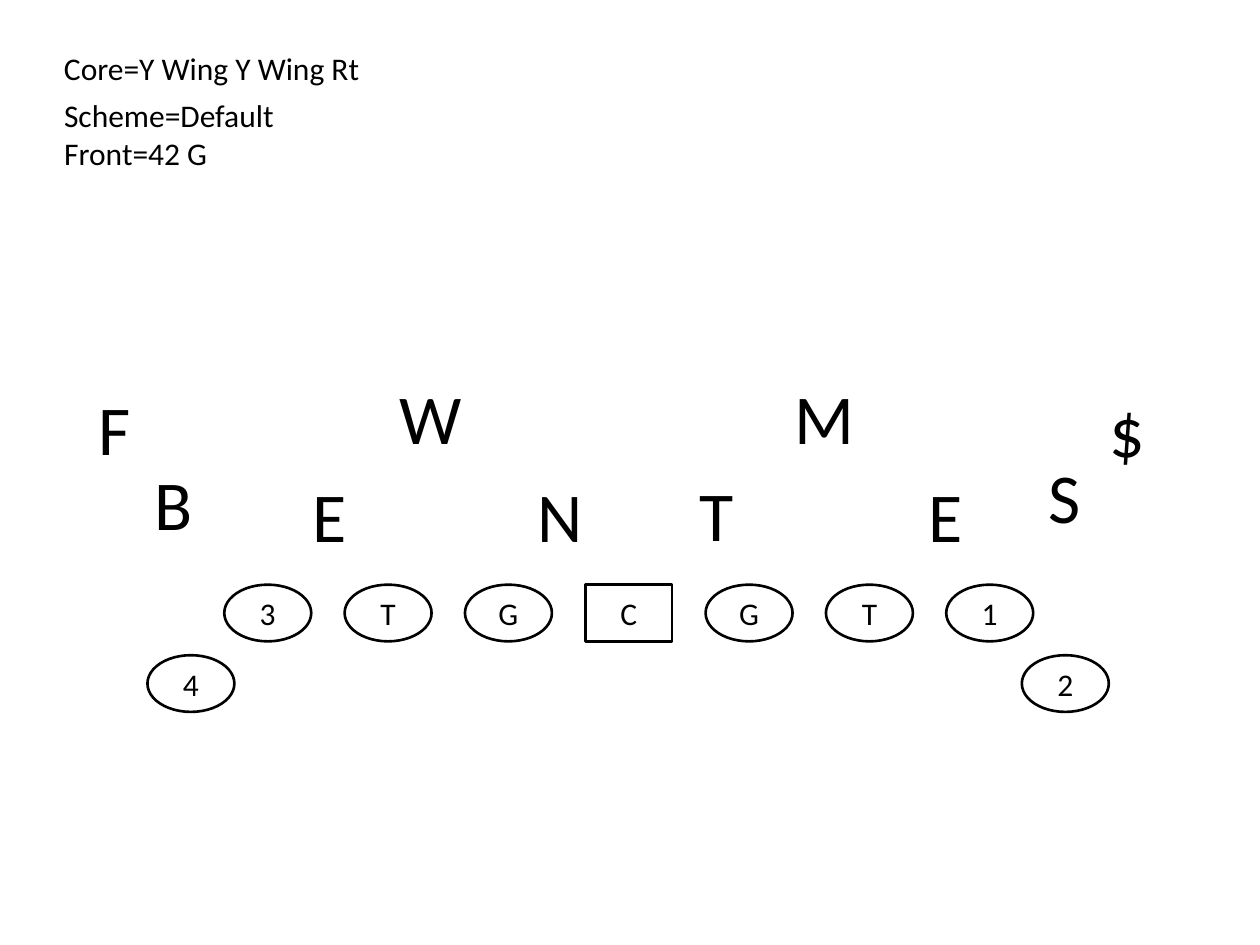
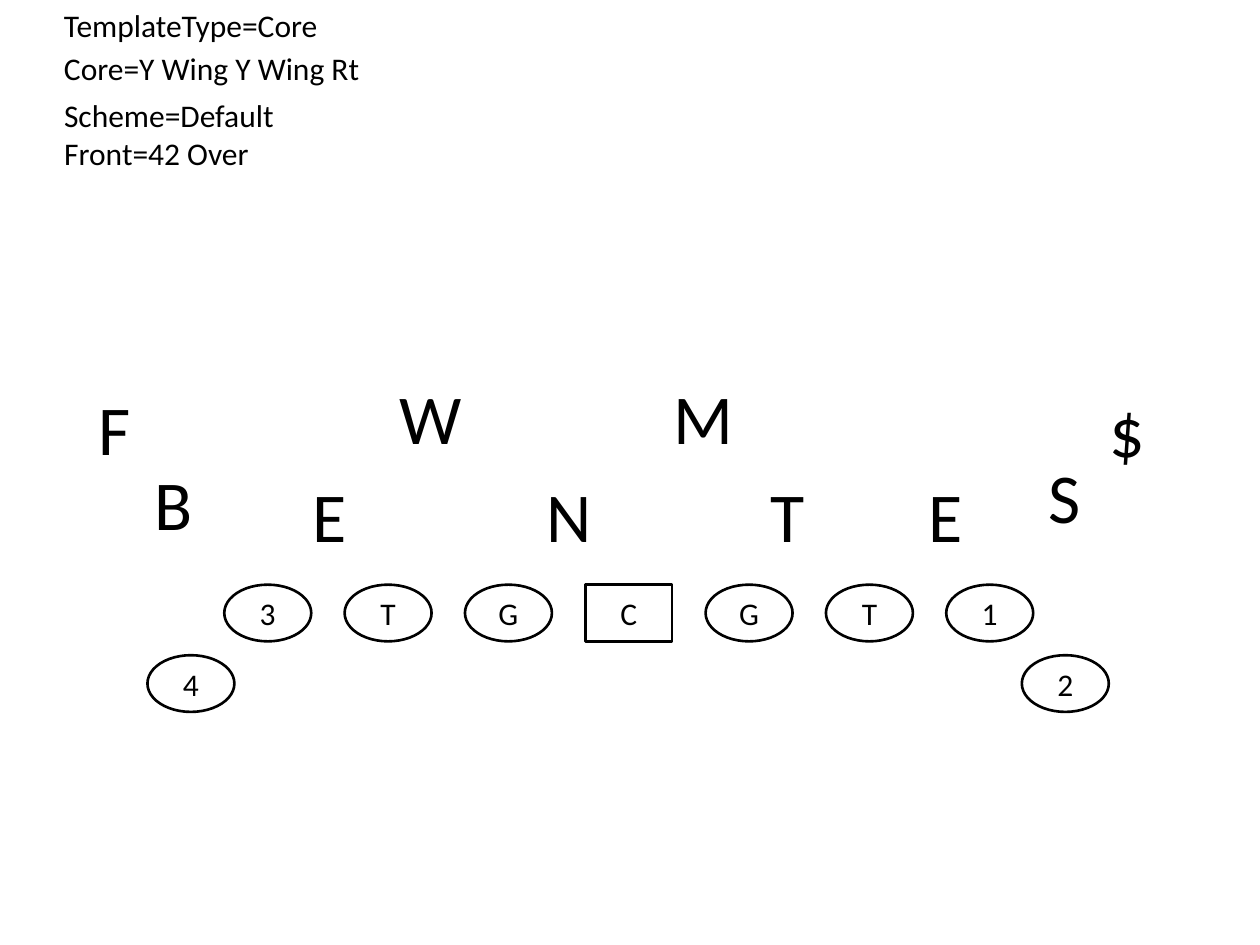
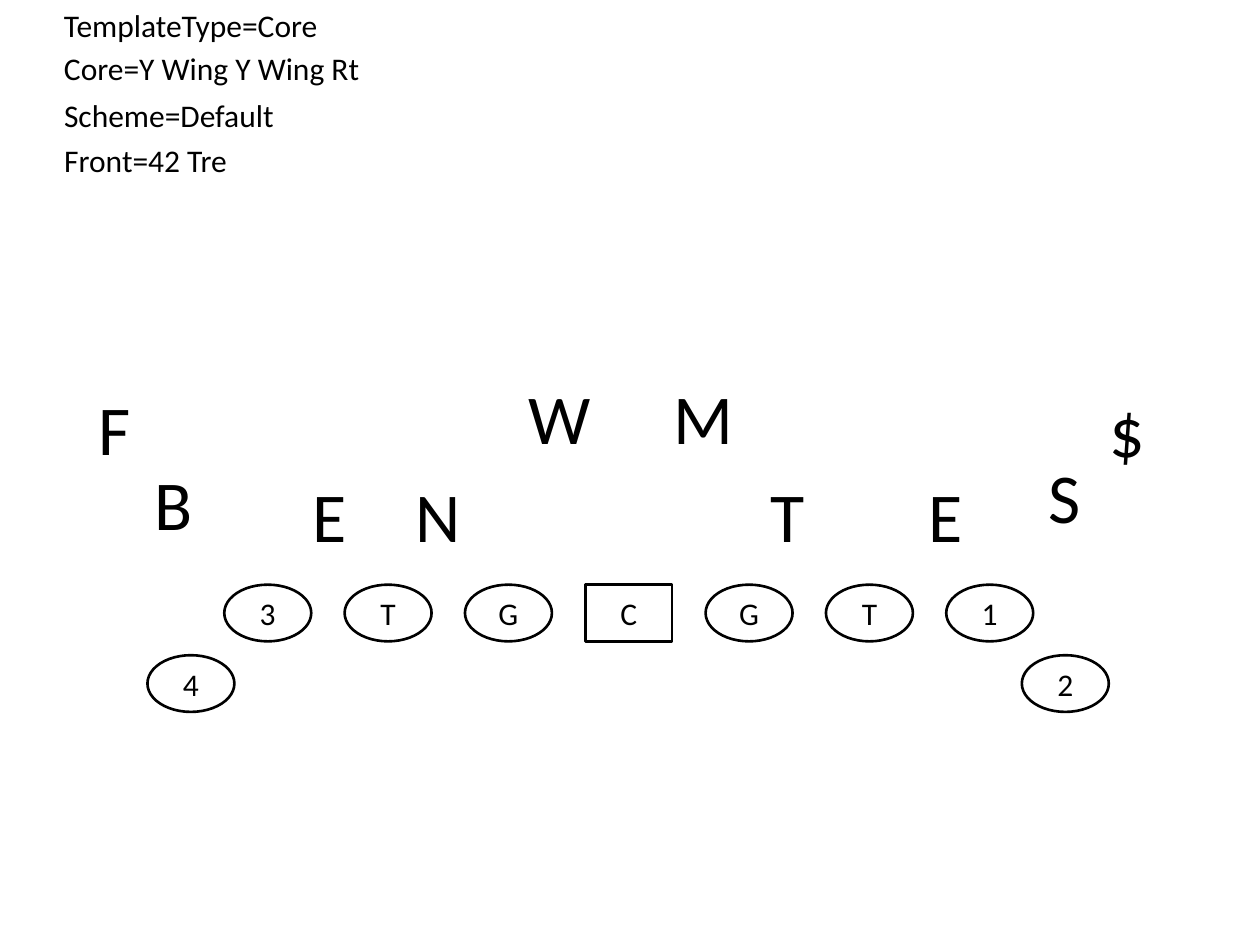
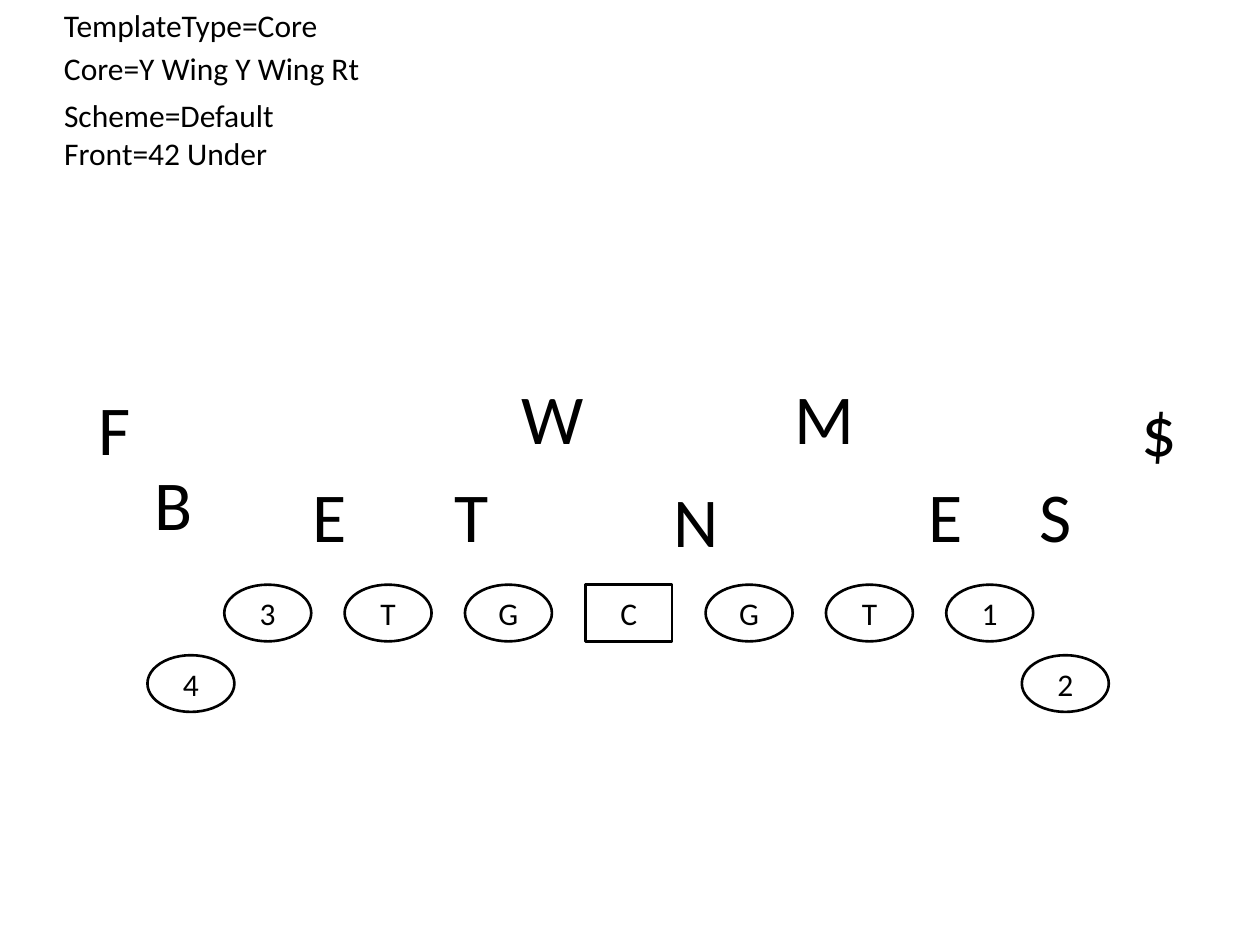
import dataclasses
from typing import NamedTuple

import pptx
import pptx.dml.color
import pptx.enum.shapes
import pptx.enum.text
import pptx.util

SHAPE = pptx.enum.shapes.MSO_SHAPE
ALIGN = pptx.enum.text.PP_ALIGN
ANCHOR = pptx.enum.text.MSO_ANCHOR
AUTO = pptx.enum.text.MSO_AUTO_SIZE


# Theme
@dataclasses.dataclass(frozen=True)
class Theme:
    font: str = "Calibri"
    ink: str = "000000"
    paper: str = "FFFFFF"
    label_size: float = 18
    defender_size: float = 40
    outline: float = 1.5


THEME = Theme()

# Grid: 100 columns by 75 rows over the whole slide
prs = pptx.Presentation()
prs.slide_width = pptx.util.Inches(10)
prs.slide_height = pptx.util.Inches(7.5)
COL = prs.slide_width / 100
ROW = prs.slide_height / 75
TITLE_ONLY = prs.slide_layouts[5]


class Box(NamedTuple):
    col: float
    row: float
    cols: float
    rows: float

    def emu(self) -> tuple[int, ...]:
        units = (COL, ROW, COL, ROW)
        return tuple(round(n * unit) for n, unit in zip(self, units))


class Player(NamedTuple):
    mark: str
    col: float
    row: float


class Label(NamedTuple):
    text: str
    row: float
    cols: float


class Front(NamedTuple):
    title: Label
    labels: list[Label]
    defenders: list[Player]


# Offence: seven evenly spaced linemen and two wings behind them
LINE_LEFT, LINE_RIGHT, LINE_ROW, WING_ROW = 17.8, 75.1, 46.4, 52
LINEMEN = "3TGCGT1"
PITCH = (LINE_RIGHT - LINE_LEFT) / (len(LINEMEN) - 1)
OFFENCE = [Player(mark, LINE_LEFT + i * PITCH, LINE_ROW)
           for i, mark in enumerate(LINEMEN)]
OFFENCE += [Player("4", 11.7, WING_ROW), Player("2", 81.1, WING_ROW)]

# Defence: box widths by letter, rows, and the players who never move
WIDTHS = {"N": 5.6, "T": 4.8, "E": 4.8, "W": 7, "M": 7,
          "S": 4.8, "B": 5.1, "$": 3.9, "F": 3.5}
WRAPPED = "F$"
DOWN_ROW, BACKER_ROW = 37, 29.2
FIXED = [Player("E", 23.8, DOWN_ROW), Player("E", 72.7, DOWN_ROW),
         Player("B", 11.3, 36.1), Player("F", 6.8, 30.1)]
RIGHT_SIDE = [Player("S", 82.2, 35.5), Player("$", 87.1, 30.3)]

# Labels
LABEL_COL = 4.1
CORE = Label("Core=Y Wing Y Wing Rt", 3.4, 25.7)
SCHEME = Label("Scheme=Default", 7.1, 18.9)
TEMPLATE = Label("TemplateType=Core", 0, 22.4)

FRONTS = [
    Front(Label("Front=42 G", 10.1, 13.5), [CORE, SCHEME],
          [Player("N", 41.7, DOWN_ROW), Player("T", 54.5, 36.9),
           Player("W", 30.7, BACKER_ROW), Player("M", 62.1, BACKER_ROW),
           *RIGHT_SIDE]),
    Front(Label("Front=42 Over", 10.1, 17.4), [CORE, SCHEME, TEMPLATE],
          [Player("N", 42.4, DOWN_ROW), Player("T", 60.2, DOWN_ROW),
           Player("W", 30.7, BACKER_ROW), Player("M", 52.5, BACKER_ROW),
           *RIGHT_SIDE]),
    Front(Label("Front=42 Tre", 10.7, 15.1), [CORE, SCHEME, TEMPLATE],
          [Player("N", 32, DOWN_ROW), Player("T", 60.2, DOWN_ROW),
           Player("W", 41, BACKER_ROW), Player("M", 52.5, BACKER_ROW),
           *RIGHT_SIDE]),
    Front(Label("Front=42 Under", 10.1, 18.3), [CORE, SCHEME, TEMPLATE],
          [Player("N", 52.5, 37.4), Player("T", 35.1, DOWN_ROW),
           Player("W", 40.4, BACKER_ROW), Player("M", 62.1, BACKER_ROW),
           Player("S", 81.5, DOWN_ROW), Player("$", 89.6, 30.2)]),
]


# Drawing
def rgb(value: str) -> pptx.dml.color.RGBColor:
    return pptx.dml.color.RGBColor.from_string(value)


def write(sp, text: str, size: float, align=ALIGN.LEFT,
          anchor=ANCHOR.TOP, wrap: bool = False) -> None:
    tf = sp.text_frame
    tf.word_wrap = wrap
    tf.vertical_anchor = anchor
    p = tf.paragraphs[0]
    p.alignment = align
    r = p.add_run()
    r.text = text
    r.font.name = THEME.font
    r.font.size = pptx.util.Pt(size)
    r.font.color.rgb = rgb(THEME.ink)


def add_label(s, label: Label, is_title: bool = False) -> None:
    box = Box(LABEL_COL, label.row, label.cols, 4).emu()
    if is_title:
        sp = s.shapes.title
        sp.left, sp.top, sp.width, sp.height = box
    else:
        sp = s.shapes.add_textbox(*box)
    write(sp, label.text, THEME.label_size)
    sp.text_frame.auto_size = AUTO.SHAPE_TO_FIT_TEXT


def add_blocker(s, player: Player) -> None:
    kind = SHAPE.RECTANGLE if player.mark == "C" else SHAPE.OVAL
    sp = s.shapes.add_shape(kind, *Box(player.col, player.row, 6.9, 4.5).emu())
    sp.shadow.inherit = False
    sp.fill.solid()
    sp.fill.fore_color.rgb = rgb(THEME.paper)
    sp.line.color.rgb = rgb(THEME.ink)
    sp.line.width = pptx.util.Pt(THEME.outline)
    write(sp, player.mark, THEME.label_size, ALIGN.CENTER, ANCHOR.MIDDLE, True)


def add_defender(s, player: Player) -> None:
    box = Box(player.col, player.row, WIDTHS[player.mark], 7.7)
    sp = s.shapes.add_textbox(*box.emu())
    write(sp, player.mark, THEME.defender_size, wrap=player.mark in WRAPPED)
    sp.text_frame.auto_size = AUTO.SHAPE_TO_FIT_TEXT


# Slides
for front in FRONTS:
    s = prs.slides.add_slide(TITLE_ONLY)
    add_label(s, front.title, is_title=True)
    for label in front.labels:
        add_label(s, label)
    for player in OFFENCE:
        add_blocker(s, player)
    for player in FIXED + front.defenders:
        add_defender(s, player)

prs.save("out.pptx")
